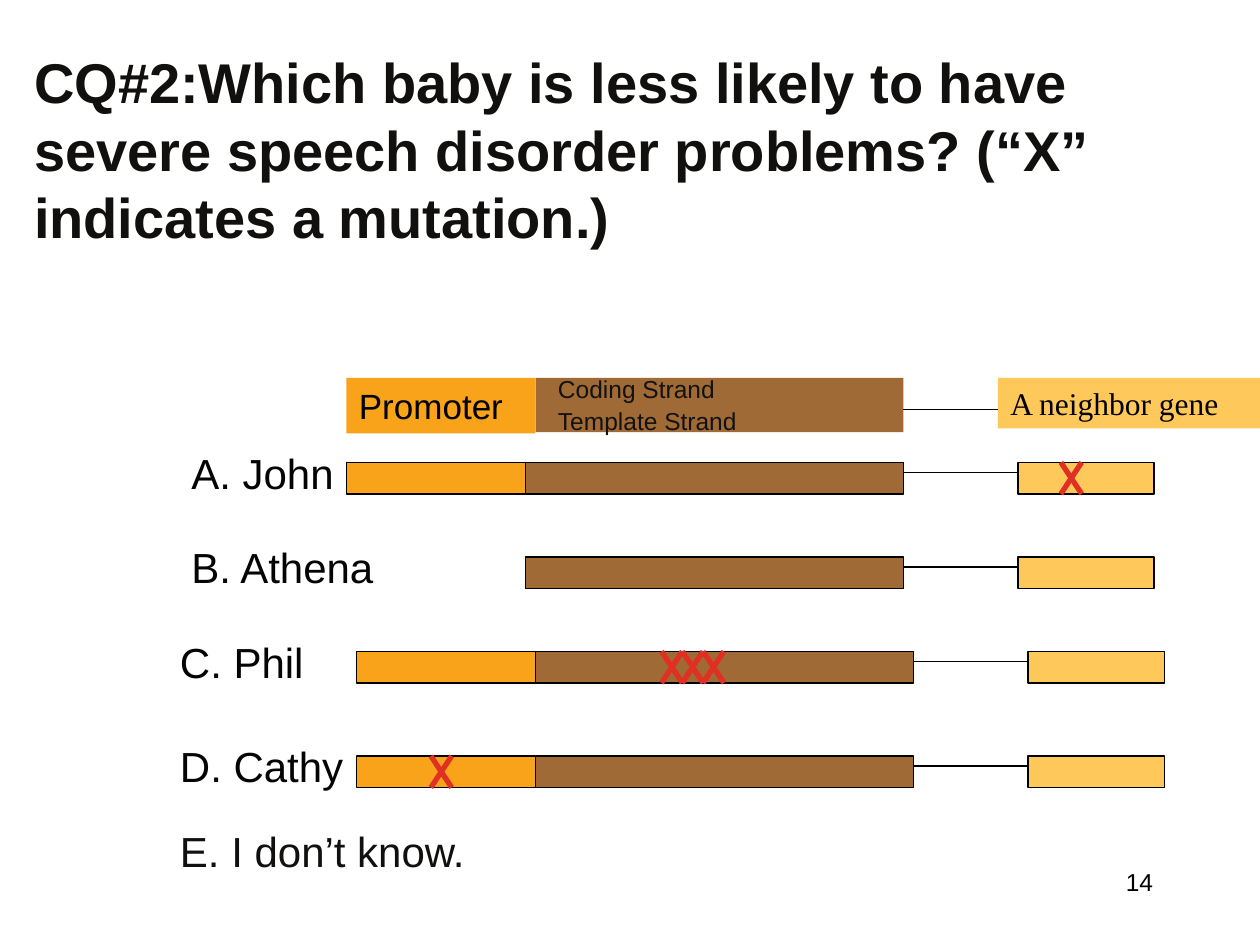
from lxml import etree
from pptx import Presentation
from pptx.dml.color import RGBColor
from pptx.enum.shapes import MSO_CONNECTOR, MSO_SHAPE
from pptx.enum.text import MSO_ANCHOR, MSO_AUTO_SIZE, PP_ALIGN
from pptx.oxml.ns import qn
from pptx.util import Inches, Pt

RECTANGLE = MSO_SHAPE.RECTANGLE
STRAIGHT = MSO_CONNECTOR.STRAIGHT
TOP = MSO_ANCHOR.TOP
NO_FIT = MSO_AUTO_SIZE.NONE
LEFT, RIGHT = PP_ALIGN.LEFT, PP_ALIGN.RIGHT

BLACK = RGBColor(0x00, 0x00, 0x00)
WHITE = RGBColor(0xFF, 0xFF, 0xFF)
TITLE_INK = RGBColor(0x12, 0x10, 0x0E)
LABEL_INK = RGBColor(0x04, 0x04, 0x04)
STRAND_INK = RGBColor(0x14, 0x12, 0x10)
PROMOTER = RGBColor(0xF8, 0xA3, 0x1A)
CODING = RGBColor(0x9F, 0x6A, 0x35)
NEIGHBOR = RGBColor(0xFF, 0xC8, 0x5B)
MUTATION = RGBColor(0xDF, 0x30, 0x23)

BAR_HEIGHT = 0.25
MARK_WIDTH = 0.165
PROMOTER_WIDTH, CODING_WIDTH, NEIGHBOR_WIDTH = 1.42, 3, 1.08
NEIGHBOR_OFFSET = 5.33

BABIES = [
    ("A. John", 1.42, 2.75, 3.67, True, [5.67]),
    ("B. Athena", 1.42, 2.75, 4.42, False, []),
    ("C. Phil", 1.33, 2.83, 5.17, True, [2.42 + MARK_WIDTH * i for i in range(3)]),
    ("D. Cathy", 1.33, 2.83, 6, True, [0.59]),
]


def write_text(shape, text, size, color, font="Arial", bold=False, align=LEFT):
    frame = shape.text_frame
    frame.word_wrap = True
    frame.auto_size = NO_FIT
    frame.vertical_anchor = TOP
    frame.text = text
    paragraph = frame.paragraphs[0]
    paragraph.alignment = align
    paragraph.font.name = font
    paragraph.font.size = Pt(size)
    paragraph.font.bold = bold
    paragraph.font.color.rgb = color


def add_label(slide, left, top, width, height, text, size, color, align=LEFT):
    box = slide.shapes.add_textbox(Inches(left), Inches(top), Inches(width), Inches(height))
    write_text(box, text, size, color, align=align)


def add_bar(slide, left, top, width, height, color, outlined=True):
    bar = slide.shapes.add_shape(
        RECTANGLE, Inches(left), Inches(top), Inches(width), Inches(height))
    bar.shadow.inherit = False
    bar.fill.solid()
    bar.fill.fore_color.rgb = color
    if outlined:
        bar.line.color.rgb = BLACK
        bar.line.width = Pt(0.75)
    else:
        bar.line.fill.background()
    return bar


def add_line(slide, x1, y1, x2, y2, color=BLACK, width=0.75):
    line = slide.shapes.add_connector(
        STRAIGHT, Inches(x1), Inches(y1), Inches(x2), Inches(y2))
    line.line.color.rgb = color
    line.line.width = Pt(width)
    etree.SubElement(line._element.spPr, qn("a:effectLst"))


def add_mutation(slide, left, top):
    right, bottom = left + MARK_WIDTH, top + BAR_HEIGHT
    add_line(slide, left, top, right, bottom, MUTATION, 3)
    add_line(slide, right, top, left, bottom, MUTATION, 3)


def add_title(slide, left, top, width, height):
    title = slide.shapes.title
    title.left, title.top = Inches(left), Inches(top)
    title.width, title.height = Inches(width), Inches(height)
    title.fill.solid()
    title.fill.fore_color.rgb = WHITE
    write_text(title, "CQ#2:Which baby is less likely to have severe speech disorder "
               "problems? (“X” indicates a mutation.)", 32, TITLE_INK, bold=True)


def add_gene_key(slide, left, top):
    promoter = add_bar(slide, left, top, 1.5, 0.44, PROMOTER, outlined=False)
    write_text(promoter, "Promoter", 20, BLACK)
    add_bar(slide, left + 1.5, top, 2.92, 0.43, CODING, outlined=False)
    neighbor = add_bar(slide, left + 5.17, top, 2.08, 0.4, NEIGHBOR, outlined=False)
    write_text(neighbor, "A neighbor gene", 18, BLACK, "Times New Roman")
    add_line(slide, left + 4.42, top + 0.25, left + 5.17, top + 0.25)
    for offset, strand in ((-0.08, "Coding Strand"), (0.17, "Template Strand")):
        add_label(slide, left + 1.58, top + offset, 2.5, 0.34, strand, 14, STRAND_INK)


def add_baby(slide, name, label_left, left, top, has_promoter, mutations):
    add_label(slide, label_left, top - 0.17, 1.83, 0.5, name, 24, LABEL_INK)
    coding_left = left + PROMOTER_WIDTH
    coding_right = coding_left + CODING_WIDTH
    neighbor_left = left + NEIGHBOR_OFFSET
    if has_promoter:
        add_bar(slide, left, top, PROMOTER_WIDTH, BAR_HEIGHT, PROMOTER)
    add_bar(slide, coding_left, top, CODING_WIDTH, BAR_HEIGHT, CODING)
    add_bar(slide, neighbor_left, top, NEIGHBOR_WIDTH, BAR_HEIGHT, NEIGHBOR)
    add_line(slide, coding_right, top + 0.08, neighbor_left, top + 0.08)
    for offset in mutations:
        add_mutation(slide, left + offset, top)


def main():
    presentation = Presentation()
    presentation.slide_width, presentation.slide_height = Inches(10), Inches(7.5)
    slide = presentation.slides.add_slide(presentation.slide_layouts[5])
    add_title(slide, 0.17, 0.33, 9.58, 1.7)
    add_gene_key(slide, 2.75, 3)
    for baby in BABIES:
        add_baby(slide, *baby)
    add_label(slide, 1.33, 6.5, 5.08, 0.5, "E. I don’t know.", 24, TITLE_INK)
    add_label(slide, 7.17, 6.83, 2.08, 0.5, "14", 14, BLACK, RIGHT)
    presentation.save("out.pptx")


if __name__ == "__main__":
    main()
